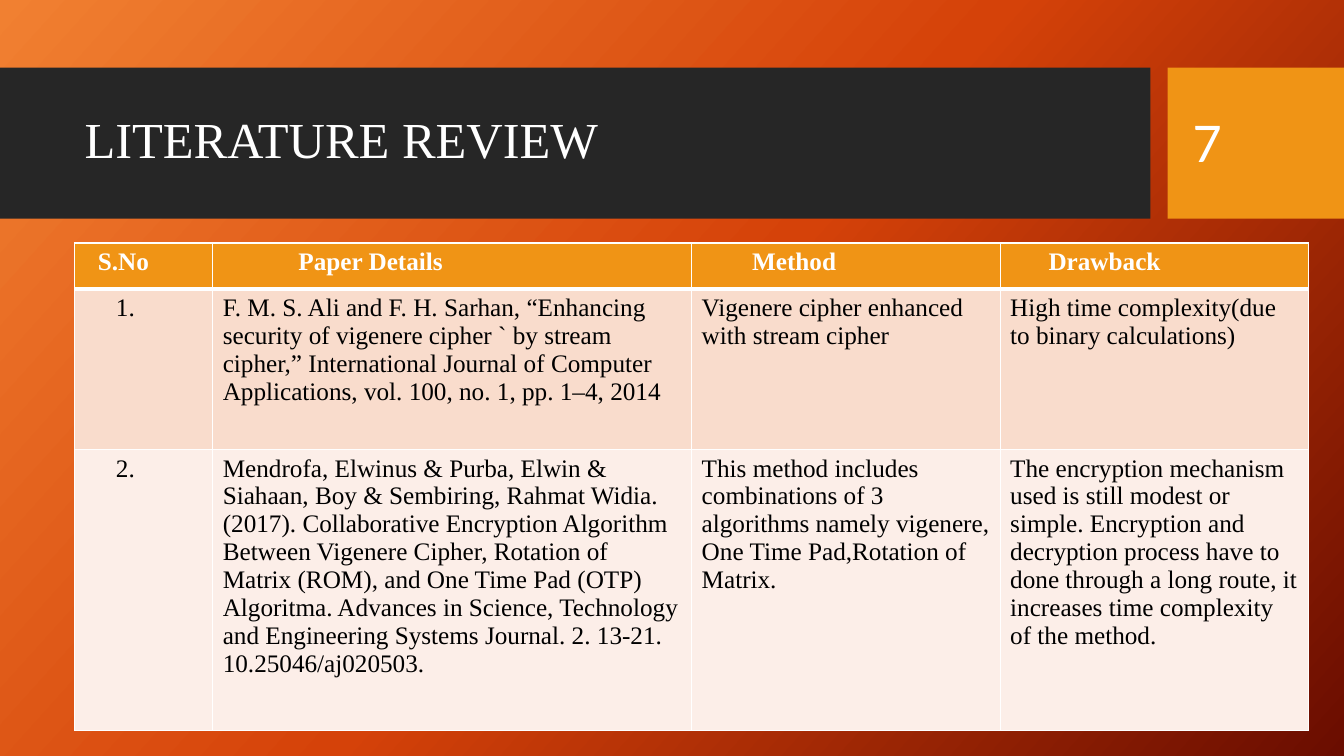
from copy import deepcopy
from dataclasses import dataclass

from lxml import etree
from pptx import Presentation
from pptx.dml.color import RGBColor
from pptx.enum import shapes, text
from pptx.oxml.ns import qn
from pptx.util import Inches, Pt

COLORS = {
    "band": "262626",
    "accent": "F09415",
    "white": "FFFFFF",
    "black": "000000",
    "odd_row": "F9DCCC",
    "even_row": "FCEEE8",
}
BACKGROUND_STOPS = [(0, "F18031"), (0.5, "D54209"), (1, "6A0D00")]
BACKGROUND_ANGLE = 42
SERIF = "Times New Roman"


@dataclass
class Box:
    left: float
    top: float
    width: float
    height: float

    def inches(self) -> list:
        return [Inches(v) for v in (self.left, self.top, self.width, self.height)]


@dataclass
class Panel:
    box: Box
    color: str


@dataclass
class Label:
    box: Box
    words: str
    font: str
    spacing: float


@dataclass
class Column:
    width: float
    header_indent: float
    body_indent: float = 0.1


@dataclass
class Row:
    height: float
    fill: str
    ink: str
    bold: bool
    top_line: float
    bottom_line: float
    cells: list[str]


PANELS = [
    Panel(Box(0, 0.67, 11.41, 1.5), "band"),
    Panel(Box(11.58, 0.67, 1.75, 1.5), "accent"),
]
LABELS = [
    Label(Box(0.74, 0.82, 10.51, 1.18), "LITERATURE REVIEW", SERIF, 0.9),
    Label(Box(11.73, 0.82, 1.26, 1.19), "7", "Lato", 1.0),
]
REVIEW_BOX = Box(0.74, 2.41, 12.25, 4.83)
COLUMNS = [
    Column(1.37, 0.23, 0.41),
    Column(4.75, 0.85),
    Column(3.06, 0.6),
    Column(3.06, 0.48),
]
ROWS = [
    Row(0.46, "accent", "white", True, 1, 3,
        ["S.No", "Paper Details", "Method", "Drawback"]),
    Row(1.59, "odd_row", "black", False, 3, 1, [
        "1.",
        "F. M. S. Ali and F. H. Sarhan, “Enhancing security of vigenere cipher ` by "
        "stream cipher,” International Journal of Computer Applications, vol. 100, "
        "no. 1, pp. 1–4, 2014",
        "Vigenere cipher enhanced with stream cipher",
        "High time complexity(due to binary calculations)",
    ]),
    Row(2.79, "even_row", "black", False, 1, 1, [
        "2.",
        "Mendrofa, Elwinus & Purba, Elwin & Siahaan, Boy & Sembiring, Rahmat Widia. "
        "(2017). Collaborative Encryption Algorithm Between Vigenere Cipher, Rotation "
        "of Matrix (ROM), and One Time Pad (OTP) Algoritma. Advances in Science, "
        "Technology and Engineering Systems Journal. 2. 13-21. 10.25046/aj020503.",
        "This method includes combinations of 3 algorithms namely vigenere, One Time "
        "Pad,Rotation of Matrix.",
        "The encryption mechanism used is still modest or simple. Encryption and "
        "decryption process have to done through a long route, it increases time "
        "complexity of the method.",
    ]),
]


def rgb(name: str) -> RGBColor:
    return RGBColor.from_string(COLORS[name])


def write(paragraph, words: str, ink: str, **font_format) -> None:
    run = paragraph.add_run()
    run.text = words
    run.font.color.rgb = rgb(ink)
    for attribute, value in font_format.items():
        setattr(run.font, attribute, value)


def paint_background(slide) -> None:
    fill = slide.background.fill
    fill.gradient()
    fill.gradient_angle = 360 - BACKGROUND_ANGLE
    stop_list = slide.element.find(".//" + qn("a:gsLst"))
    stop_list.append(deepcopy(stop_list[-1]))
    for stop, (position, color) in zip(fill.gradient_stops, BACKGROUND_STOPS):
        stop.position = position
        stop.color.rgb = RGBColor.from_string(color)


def draw_panel(slide, panel: Panel) -> None:
    shape = slide.shapes.add_shape(shapes.MSO_SHAPE.RECTANGLE, *panel.box.inches())
    shape.shadow.inherit = False
    shape.fill.solid()
    shape.fill.fore_color.rgb = rgb(panel.color)
    shape.line.fill.background()


def draw_label(slide, label: Label) -> None:
    frame = slide.shapes.add_textbox(*label.box.inches()).text_frame
    frame.word_wrap = True
    frame.vertical_anchor = text.MSO_ANCHOR.MIDDLE
    paragraph = frame.paragraphs[0]
    paragraph.line_spacing = label.spacing
    write(paragraph, label.words, "white", name=label.font, size=Pt(36))


def add_borders(cell, top: float, bottom: float) -> None:
    """Add white cell borders; call before filling, as the schema puts lines first."""
    properties = cell._tc.get_or_add_tcPr()
    for side, points in {"L": 1, "R": 1, "T": top, "B": bottom}.items():
        line = etree.SubElement(properties, qn(f"a:ln{side}"), w=str(Pt(points)))
        solid = etree.SubElement(line, qn("a:solidFill"))
        etree.SubElement(solid, qn("a:srgbClr"), val=COLORS["white"])


def draw_review(slide) -> None:
    frame = slide.shapes.add_table(len(ROWS), len(COLUMNS), *REVIEW_BOX.inches())
    review = frame.table
    review.horz_banding = False
    for column, grid_column in zip(COLUMNS, review.columns):
        grid_column.width = Inches(column.width)
    for row, grid_row in zip(ROWS, review.rows):
        grid_row.height = Inches(row.height)
        for column, words, cell in zip(COLUMNS, row.cells, grid_row.cells):
            add_borders(cell, row.top_line, row.bottom_line)
            cell.fill.solid()
            cell.fill.fore_color.rgb = rgb(row.fill)
            indent = column.header_indent if row.bold else column.body_indent
            cell.margin_left = Inches(indent)
            write(cell.text_frame.paragraphs[0], words, row.ink,
                  name=SERIF, size=Pt(18), bold=row.bold)


def main() -> None:
    deck = Presentation()
    deck.slide_width, deck.slide_height = Inches(13.33), Inches(7.5)
    slide = deck.slides.add_slide(deck.slide_layouts[6])
    paint_background(slide)
    for panel in PANELS:
        draw_panel(slide, panel)
    for label in LABELS:
        draw_label(slide, label)
    draw_review(slide)
    deck.save("out.pptx")


if __name__ == "__main__":
    main()
